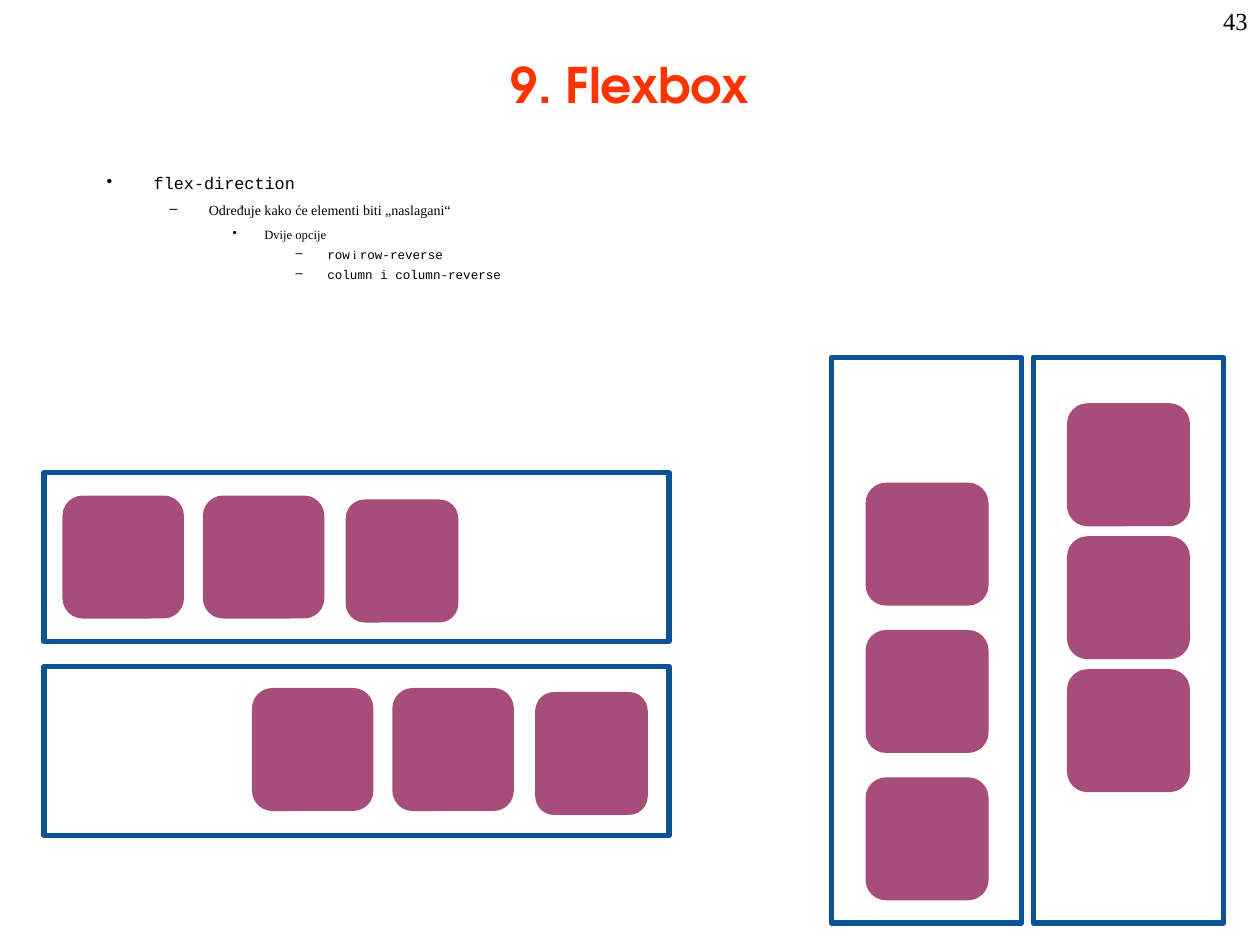
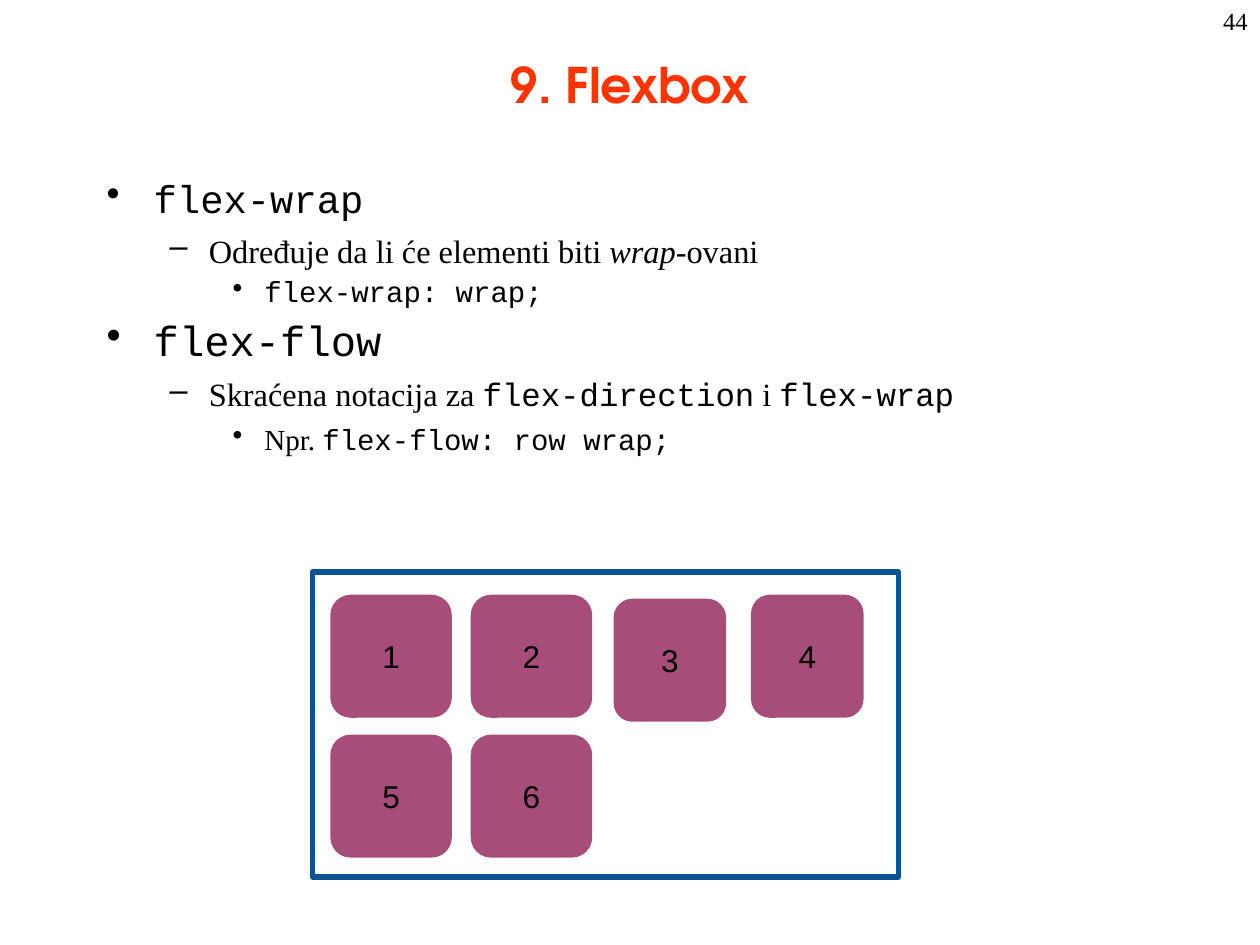
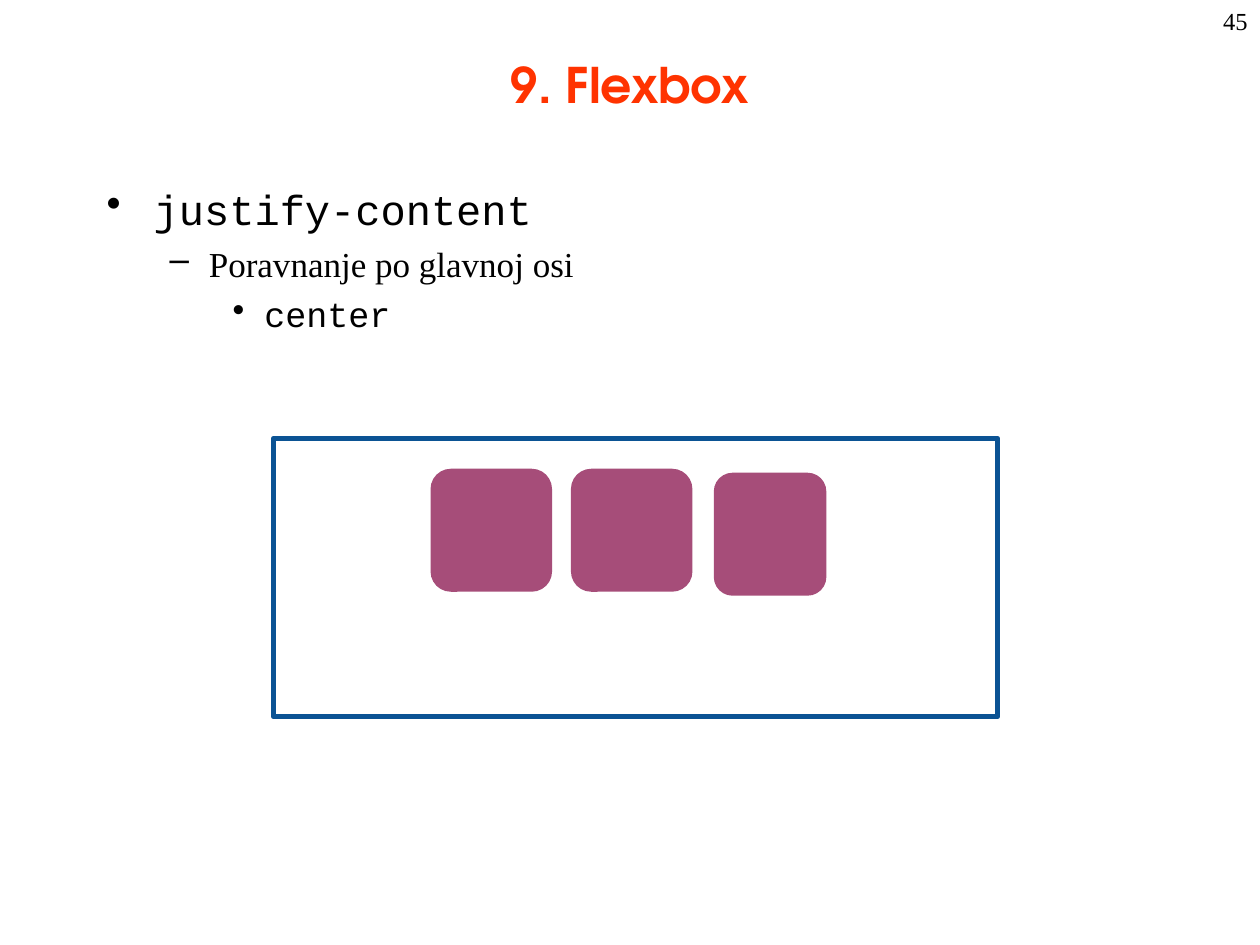
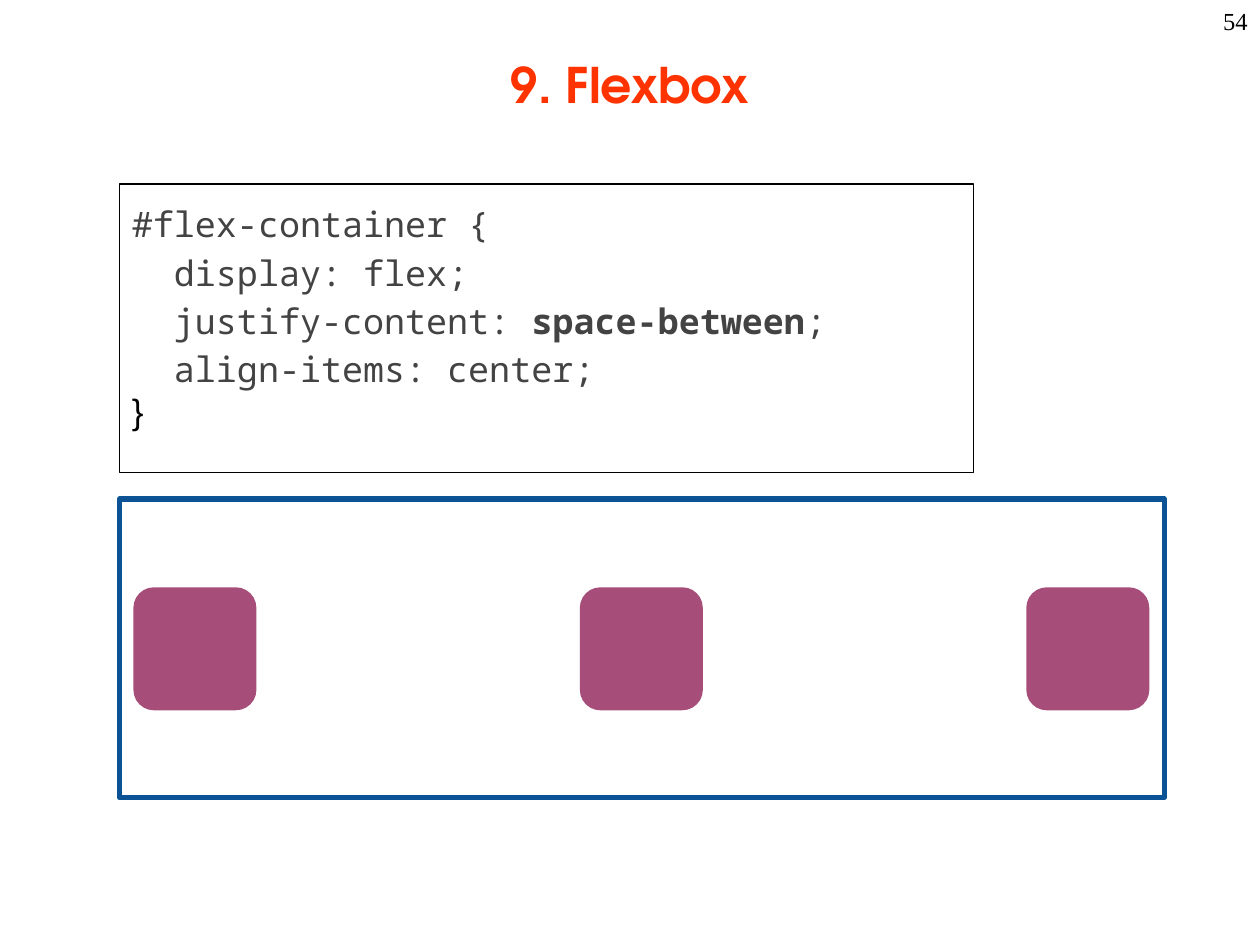
from dataclasses import dataclass
from typing import NamedTuple

from lxml.etree import SubElement
from pptx import Presentation
from pptx.dml.color import RGBColor
from pptx.enum.shapes import MSO_SHAPE as Shape
from pptx.enum.text import MSO_ANCHOR as Anchor, PP_ALIGN as Align
from pptx.oxml.ns import qn
from pptx.util import Cm, Pt

# Shared look
TITLE_TEXT = "9. Flexbox"
RED, BLUE, PLUM = "FF3300", "0B5394", "A64D79"
BLACK, WHITE, GREY = "000000", "FFFFFF", "434343"
TITLE_FONT, SERIF, MONO = "TeX Gyre Adventor", "Times New Roman", "Courier New"
SANS, CODE = "Arial", "Noto Sans Mono"


class Box(NamedTuple):
    """A place on the page, in centimetres."""
    left: float
    top: float
    width: float
    height: float

    def lengths(self) -> list[Cm]:
        return [Cm(value) for value in self]


class Span(NamedTuple):
    text: str
    font: str
    size: float
    color: str = BLACK
    bold: bool = False
    italic: bool = False


class Level(NamedTuple):
    bullet: str
    margin: float
    hanging: float


@dataclass
class Item:
    level: int
    spans: list[Span]
    before: float
    spacing: float = 1.0


@dataclass
class Tile:
    box: Box
    label: str = ""


TITLE_BOX = Box(1.9, 0.2, 21.59, 2.97)
NUMBER_BOX = Box(20.12, 0, 5.28, 1.27)
LEVELS = [Level("•", 0.95, 0.95), Level("–", 2.06, 0.79),
          Level("•", 3.18, 0.64), Level("–", 4.45, 0.64)]

# Tile sizes, and the slots of one row: offset across, offset down, width
SIDE = 2.48
ROW_SLOTS = [(0, 0, 2.45), (2.83, 0, 2.45), (5.71, 0.08, 2.27), (8.48, 0, 2.27)]
WRAP_STEP = 2.82


def rgb(color: str) -> RGBColor:
    return RGBColor.from_string(color)


def add_spans(para, spans: list[Span]) -> None:
    for span in spans:
        run = para.add_run()
        run.text = span.text
        font = run.font
        font.name, font.size = span.font, Pt(span.size)
        font.bold, font.italic = span.bold, span.italic
        font.color.rgb = rgb(span.color)


def next_para(frame, index: int):
    return frame.add_paragraph() if index else frame.paragraphs[0]


def set_margins(frame, side: float, top: float) -> None:
    frame.margin_left = frame.margin_right = Cm(side)
    frame.margin_top = frame.margin_bottom = Cm(top)


# Page with title and number
def new_page(deck, number: int):
    page = deck.slides.add_slide(deck.slide_layouts[5])
    title = page.shapes.title
    title.left, title.top, title.width, title.height = TITLE_BOX.lengths()
    title.text_frame.vertical_anchor = Anchor.MIDDLE
    para = title.text_frame.paragraphs[0]
    para.alignment = Align.CENTER
    add_spans(para, [Span(TITLE_TEXT, TITLE_FONT, 28, RED, bold=True)])

    frame = page.shapes.add_textbox(*NUMBER_BOX.lengths()).text_frame
    frame.word_wrap = True
    para = frame.paragraphs[0]
    para.alignment = Align.RIGHT
    add_spans(para, [Span(str(number), SERIF, 14)])
    return page


# Bulleted text
def set_bullet(para, level: Level) -> None:
    props = para._p.get_or_add_pPr()
    props.set("marL", str(Cm(level.margin)))
    props.set("indent", str(-Cm(level.hanging)))
    color = SubElement(props, qn("a:buClr"))
    SubElement(color, qn("a:srgbClr")).set("val", BLACK)
    SubElement(props, qn("a:buChar")).set("char", level.bullet)


def add_outline(page, height: float, top_margin: float, items: list[Item]) -> None:
    box = Box(1.9, 3.38, 22, height)
    frame = page.shapes.add_textbox(*box.lengths()).text_frame
    frame.word_wrap = True
    frame.margin_top = Cm(top_margin)
    for index, item in enumerate(items):
        para = next_para(frame, index)
        para.level = item.level
        para.line_spacing = item.spacing
        para.space_before = Pt(item.before if index else 0)
        set_bullet(para, LEVELS[item.level])
        add_spans(para, item.spans)


# Containers and tiles
def add_container(page, box: Box) -> None:
    shape = page.shapes.add_shape(Shape.RECTANGLE, *box.lengths())
    shape.shadow.inherit = False
    shape.fill.solid()
    shape.fill.fore_color.rgb = rgb(WHITE)
    shape.line.color.rgb = rgb(BLUE)
    shape.line.width = Pt(3)


def add_tiles(page, tiles: list[Tile]) -> None:
    for tile in tiles:
        shape = page.shapes.add_shape(Shape.ROUNDED_RECTANGLE, *tile.box.lengths())
        shape.adjustments[0] = 0.167
        shape.shadow.inherit = False
        shape.fill.solid()
        shape.fill.fore_color.rgb = rgb(PLUM)
        shape.line.fill.background()
        if tile.label:
            frame = shape.text_frame
            set_margins(frame, 0.25, 0.25)
            frame.vertical_anchor = Anchor.MIDDLE
            para = frame.paragraphs[0]
            para.alignment = Align.CENTER
            add_spans(para, [Span(tile.label, SANS, 18)])


def row_tiles(left: float, top: float, labels: list[str]) -> list[Tile]:
    return [Tile(Box(left + across, top + down, width, SIDE), label)
            for (across, down, width), label in zip(ROW_SLOTS, labels)]


def spaced_tiles(left: float, top: float, across: float = 0, down: float = 0) -> list[Tile]:
    return [Tile(Box(left + i * across, top + i * down, SIDE, SIDE)) for i in range(3)]


# Code listing
def add_code(page, box: Box, lines: list[list[Span]]) -> None:
    shape = page.shapes.add_shape(Shape.RECTANGLE, *box.lengths())
    shape.shadow.inherit = False
    shape.fill.background()
    shape.line.color.rgb = rgb(BLACK)
    shape.line.width = Pt(0.75)
    frame = shape.text_frame
    set_margins(frame, 0.25, 0.25)
    frame.vertical_anchor = Anchor.TOP
    for index, spans in enumerate(lines):
        para = next_para(frame, index)
        para.alignment = Align.LEFT
        para.line_spacing = 1.15 if spans[0].font == CODE else 1.0
        add_spans(para, spans)


# Slides
def direction_page(deck) -> None:
    page = new_page(deck, 43)
    add_outline(page, 2.74, 0.19, [
        Item(0, [Span("flex-direction", MONO, 9.6)], 6, 0.8),
        Item(1, [Span("Određuje kako će elementi biti „naslagani“", SERIF, 8)], 5),
        Item(2, [Span("Dvije opcije", SERIF, 7.2)], 4.5),
        Item(3, [Span("row", MONO, 7.2), Span(" i ", SERIF, 7.2),
                 Span("row-reverse", MONO, 7.2)], 4.5, 0.8),
        Item(3, [Span("column i column-reverse", MONO, 7.2)], 4.5, 0.8),
    ])
    for left in (16.76, 20.83):
        add_container(page, Box(left, 7.21, 3.84, 11.4))
    add_tiles(page, spaced_tiles(17.45, 9.73, down=2.97))
    add_tiles(page, spaced_tiles(21.51, 8.13, down=2.68))
    for top, tile_left, tile_top in ((9.53, 1.26, 9.99), (13.44, 5.08, 13.87)):
        add_container(page, Box(0.89, top, 12.6, 3.4))
        add_tiles(page, row_tiles(tile_left, tile_top, [""] * 3))


def wrap_page(deck) -> None:
    page = new_page(deck, 44)
    add_outline(page, 6.22, 0.25, [
        Item(0, [Span("flex-wrap", MONO, 22.2)], 6, 0.9),
        Item(1, [Span("Određuje da li će elementi biti ", SERIF, 18.5),
                 Span("wrap", SERIF, 18.5, italic=True),
                 Span("-ovani", SERIF, 18.5)], 5),
        Item(2, [Span("flex-wrap: wrap;", MONO, 16.6)], 4.5, 0.9),
        Item(0, [Span("flex-flow", MONO, 24.1)], 6.5, 0.9),
        Item(1, [Span("Skraćena notacija za ", SERIF, 18.5),
                 Span("flex-direction", MONO, 18.5), Span(" i ", SERIF, 18.5),
                 Span("flex-wrap", MONO, 18.5)], 5),
        Item(2, [Span("Npr. ", SERIF, 16.6),
                 Span("flex-flow: row wrap;", MONO, 16.6)], 4.5),
    ])
    add_container(page, Box(6.3, 11.53, 11.81, 6.15))
    for row, labels in enumerate((["1", "2", "3", "4"], ["5", "6"])):
        add_tiles(page, row_tiles(6.66, 11.99 + row * WRAP_STEP, labels))


def justify_page(deck) -> None:
    page = new_page(deck, 45)
    add_outline(page, 6.15, 0.31, [
        Item(0, [Span("justify-content", MONO, 24)], 6),
        Item(1, [Span("Poravnanje po glavnoj osi", SERIF, 20)], 5),
        Item(2, [Span("center", MONO, 20)], 5),
    ])
    add_container(page, Box(5.51, 8.84, 14.6, 5.61))
    add_tiles(page, row_tiles(8.68, 9.45, [""] * 3))


def between_page(deck) -> None:
    page = new_page(deck, 54)
    add_container(page, Box(2.41, 10.06, 21.06, 6.02))
    add_code(page, Box(2.41, 3.71, 17.22, 5.82), [
        [Span("#flex-container {", CODE, 20, GREY)],
        [Span("  display: flex;", CODE, 20, GREY)],
        [Span("  justify-content: ", CODE, 20, GREY),
         Span("space-between", CODE, 20, GREY, bold=True),
         Span(";", CODE, 20, GREY)],
        [Span("  align-items: center;", CODE, 20, GREY)],
        [Span("}", SANS, 20)],
    ])
    add_tiles(page, spaced_tiles(2.69, 11.84, across=9))


def main() -> None:
    deck = Presentation()
    deck.slide_width, deck.slide_height = Cm(25.4), Cm(19.05)
    for build in (direction_page, wrap_page, justify_page, between_page):
        build(deck)
    deck.save("out.pptx")


if __name__ == "__main__":
    main()
